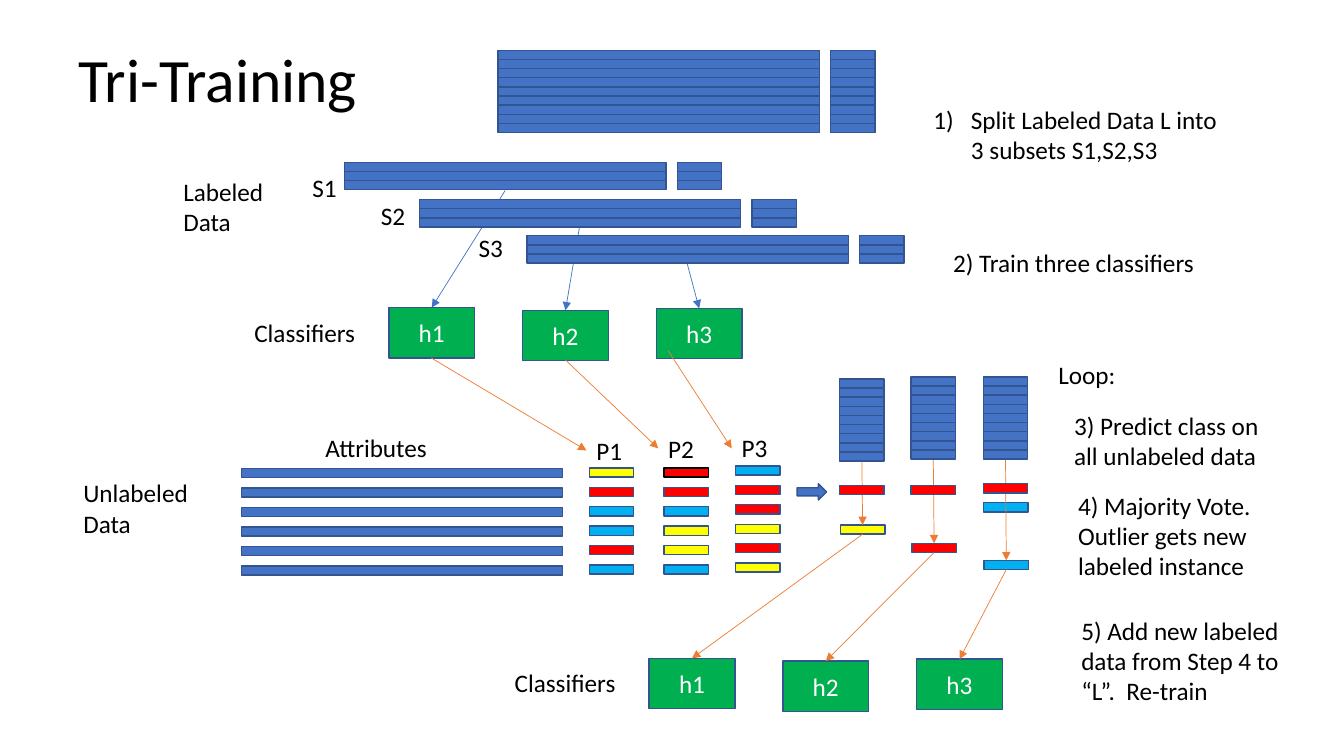
from pptx import Presentation
from pptx.dml.color import RGBColor
from pptx.enum.shapes import MSO_CONNECTOR, MSO_SHAPE
from pptx.enum.text import MSO_ANCHOR, PP_ALIGN
from pptx.oxml.ns import qn
from pptx.util import Cm, Pt
from lxml import etree

RECTANGLE, RIGHT_ARROW = MSO_SHAPE.RECTANGLE, MSO_SHAPE.RIGHT_ARROW
STRAIGHT = MSO_CONNECTOR.STRAIGHT
MIDDLE, TOP = MSO_ANCHOR.MIDDLE, MSO_ANCHOR.TOP
CENTER, LEFT = PP_ALIGN.CENTER, PP_ALIGN.LEFT

BLUE, NAVY, GREEN, ORANGE = "4472C4", "325491", "00B050", "ED7D31"
YELLOW, RED, SKY = "FFFF00", "FF0000", "00B0F0"
BLACK, WHITE = "000000", "FFFFFF"

BAR_HEIGHT, ATTRIBUTES_WIDTH, CLASS_WIDTH = 0.23, 8.1, 1.12
CLASS_OFFSET = 8.38
BOX_WIDTH, BOX_HEIGHT = 2.16, 1.27


def color(value):
    return RGBColor.from_string(value)


class TriTrainingSlide:
    """Draws styled elements on one slide, with lengths in centimetres."""

    font, size = "Calibri", 18

    def __init__(self, presentation):
        self.slide = presentation.slides.add_slide(presentation.slide_layouts[6])

    def fill_text(self, frame, text, ink=BLACK, size=size, align=LEFT, anchor=TOP):
        frame.vertical_anchor = anchor
        paragraph = frame.paragraphs[0]
        paragraph.text = text
        paragraph.alignment = align
        paragraph.font.name = self.font
        paragraph.font.size = Pt(size)
        paragraph.font.color.rgb = color(ink)
        return paragraph

    def text(self, text, left, top, width, height=1.02, wrap=True, **style):
        box = self.slide.shapes.add_textbox(Cm(left), Cm(top), Cm(width), Cm(height))
        box.text_frame.word_wrap = wrap
        return self.fill_text(box.text_frame, text, **style)

    def numbered(self, text, left, top, width, height, indent):
        properties = self.text(text, left, top, width, height)._p.get_or_add_pPr()
        properties.set("marL", str(Cm(indent)))
        properties.set("indent", str(-Cm(indent)))
        bullet = etree.Element(qn("a:buAutoNum"), type="arabicParenR")
        properties.insert(0, bullet)

    def shape(self, left, top, width, height, fill=BLUE, outline=NAVY, kind=RECTANGLE):
        shape = self.slide.shapes.add_shape(kind, Cm(left), Cm(top), Cm(width), Cm(height))
        shape.shadow.inherit = False
        shape.fill.solid()
        shape.fill.fore_color.rgb = color(fill)
        shape.line.color.rgb = color(outline)
        shape.line.width = Pt(1)
        return shape

    def bar(self, left, top, width=CLASS_WIDTH, fill=BLUE, outline=NAVY):
        self.shape(left, top, width, BAR_HEIGHT, fill, outline)

    def stack(self, left, top, count, width=CLASS_WIDTH):
        for row in range(count):
            self.bar(left, top + row * BAR_HEIGHT, width)

    def labeled_data(self, left, top, count):
        self.stack(left, top, count, ATTRIBUTES_WIDTH)
        self.stack(left + CLASS_OFFSET, top, count)

    def arrow(self, start, end, ink=ORANGE):
        points = [Cm(value) for value in (*start, *end)]
        connector = self.slide.shapes.add_connector(STRAIGHT, *points)
        connector.line.color.rgb = color(ink)
        connector.line.width = Pt(0.5)
        properties = connector._element.spPr
        etree.SubElement(properties.find(qn("a:ln")), qn("a:tailEnd"), type="triangle")
        etree.SubElement(properties, qn("a:effectLst"))

    def classifiers(self, left, top):
        """Draws h1 to h3 with their label and returns their top centres."""
        self.text("Classifiers", left - 3.64, top + 0.11, 3.07, wrap=False)
        centres = []
        for index, drop in enumerate((0, 0.07, 0.02)):
            box_left, box_top = left + index * 3.37, top + drop
            box = self.shape(box_left, box_top, BOX_WIDTH, BOX_HEIGHT, GREEN)
            self.fill_text(box.text_frame, f"h{index + 1}", WHITE, align=CENTER, anchor=MIDDLE)
            centres.append((box_left + BOX_WIDTH / 2, box_top))
        return centres


presentation = Presentation()
presentation.slide_width, presentation.slide_height = Cm(33.87), Cm(19.05)
slide = TriTrainingSlide(presentation)

title = slide.text("Tri-Training", 1.73, 0.25, 29.21, 3.68, size=44, anchor=MIDDLE)
title.line_spacing = 0.9

trained = slide.classifiers(9.8, 7.75)
retrained = slide.classifiers(16.36, 16.59)

subset_exits = [(12.73, 4.8), (14.6, 5.74), (17.32, 6.65)]
for subset_exit, classifier in zip(subset_exits, trained):
    slide.arrow(subset_exit, classifier, BLUE)

slide.labeled_data(12.55, 1.27, 9)
subsets = [(8.69, 4.09, 7.62, 4.22), (10.57, 5.03, 9.35, 4.93), (13.28, 5.94, 11.81, 5.72)]
for number, (left, top, label_left, label_top) in enumerate(subsets, 1):
    slide.labeled_data(left, top, 3)
    slide.text(f"S{number}", label_left, label_top, 1.85)

for row in range(6):
    slide.bar(6.08, 11.81 + row * 0.49, ATTRIBUTES_WIDTH)

predictions = [
    (14.85, 11.79, 14.78, 10.85, (YELLOW, RED, SKY, SKY, RED, SKY)),
    (16.73, 11.79, 16.59, 10.8, (RED, RED, SKY, YELLOW, YELLOW, SKY)),
    (18.54, 11.74, 18.44, 10.77, (SKY, RED, RED, YELLOW, RED, YELLOW)),
]
for number, (left, top, label_left, label_top, classes) in enumerate(predictions, 1):
    slide.text(f"P{number}", label_left, label_top, 1.17, wrap=False)
    for row, fill in enumerate(classes):
        outline = BLACK if (number, row) == (2, 0) else NAVY
        slide.bar(left, top + row * 0.49, fill=fill, outline=outline)

classifier_exits = [(10.87, 9.02), (14.25, 9.07), (16.84, 8.84)]
prediction_heads = [(14.78, 11.35), (16.59, 11.3), (18.44, 11.3)]
for start, end in zip(classifier_exits, prediction_heads):
    slide.arrow(start, end)

slide.shape(20.09, 12.19, 0.74, 0.41, kind=RIGHT_ARROW)

slide.bar(24.79, 12.67, fill=SKY)
votes = [
    (21.16, 9.55, 12.24, 13.23, YELLOW),
    (22.96, 9.5, 12.24, 13.69, RED),
    (24.78, 9.5, 12.19, 14.12, SKY),
]
for (left, stack_top, vote_top, outlier_top, fill), classifier in zip(votes, retrained):
    centre = left + CLASS_WIDTH / 2
    slide.bar(left + 0.02, outlier_top, fill=fill)
    slide.arrow((centre, stack_top + 9 * BAR_HEIGHT), (centre + 0.02, outlier_top))
    slide.arrow((centre + 0.02, outlier_top + BAR_HEIGHT), classifier)
    slide.stack(left, stack_top, 9)
    slide.bar(left, vote_top, fill=RED)

slide.numbered("Split Labeled Data L into 3 subsets S1,S2,S3", 23.27, 2.51, 7.67, 1.8, 0.95)
captions = [
    ("2) Train three classifiers", 23.77, 6.1, 7.32, 1.02),
    ("Loop:", 26.42, 8.94, 6.22, 1.02),
    ("3) Predict class on all unlabeled data", 26.82, 10.21, 5.64, 1.8),
    ("4) Majority Vote. Outlier gets new labeled instance", 26.92, 12.22, 5.36, 2.57),
    ("5) Add new labeled data from Step 4 to “L”.  Re-train", 27, 15.37, 5.61, 2.57),
    ("Labeled Data", 4.37, 4.32, 2.9, 1.8),
    ("Unlabeled Data", 1.85, 11.91, 3.18, 1.8),
    ("Attributes", 7.95, 10.77, 6, 1.02),
]
for caption in captions:
    slide.text(*caption)

presentation.save("out.pptx")
